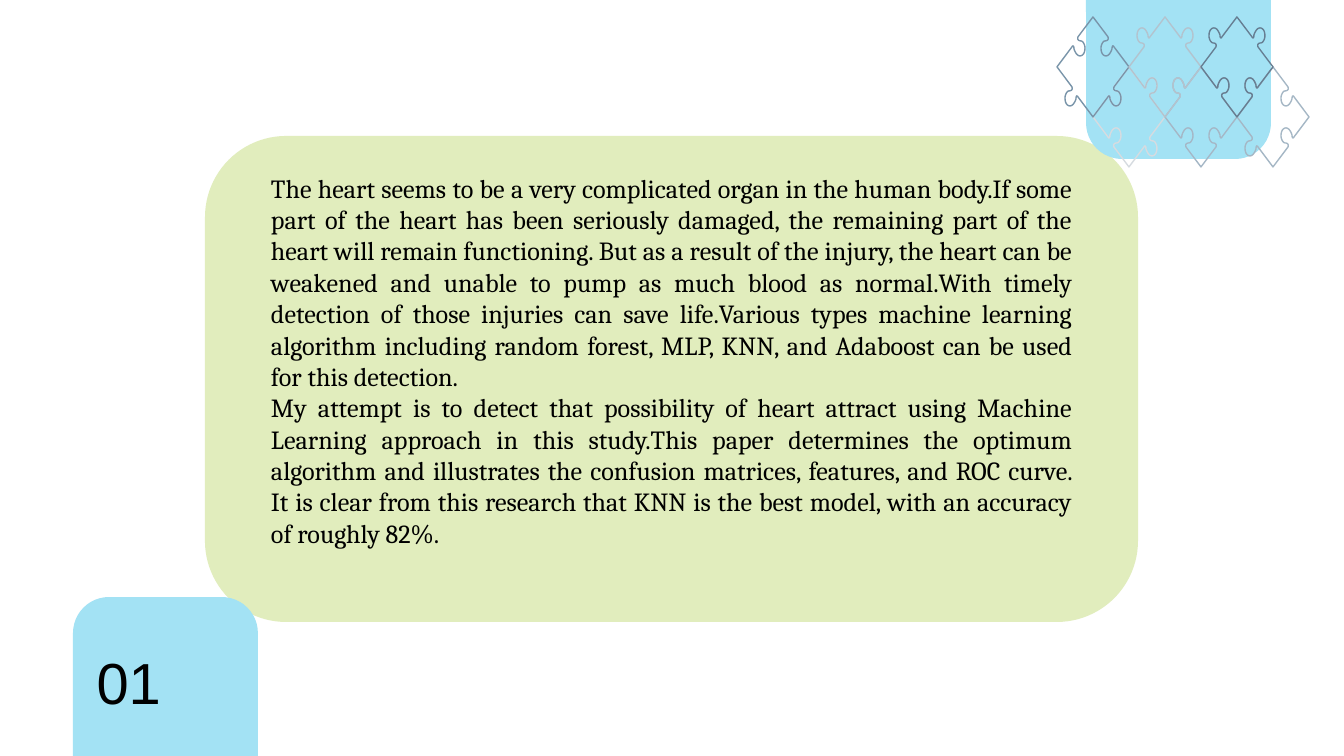
from dataclasses import dataclass

from pptx import Presentation
from pptx.dml.color import RGBColor
from pptx.enum.shapes import MSO_SHAPE as SHAPE
from pptx.enum.text import MSO_ANCHOR as ANCHOR, PP_ALIGN as ALIGN
from pptx.util import Emu, Pt

WIDTH, HEIGHT = 1344, 756
EMU_PER_PX = 9144000 / WIDTH


@dataclass(frozen=True)
class Theme:
    panel: str = "E1EDBD"
    tab: str = "A3E2F4"
    ink: str = "000000"
    body_font: str = "Cambria"
    body_size: int = 14
    number_font: str = "Arial"
    number_size: int = 31
    outline: float = 0.75
    inset: int = 13


PARAGRAPHS = [
    "The heart seems to be a very complicated organ in the human body.If some part of the "
    "heart has been seriously damaged, the remaining part of the heart will remain "
    "functioning. But as a result of the injury, the heart can be weakened and unable to pump "
    "as much blood as normal.With timely detection of those injuries can save life.Various "
    "types machine learning algorithm including random forest, MLP, KNN, and Adaboost can be "
    "used for this detection.",
    "My attempt is to detect that possibility of heart attract using Machine Learning approach "
    "in this study.This paper determines the optimum algorithm and illustrates the confusion "
    "matrices, features, and ROC curve. It is clear from this research that KNN is the best "
    "model, with an accuracy of roughly 82%.",
]

# Puzzle: half a piece's width and height, and the first piece's centre
HALF_W, HALF_H = 36, 50
PUZZLE_X, PUZZLE_Y = 1093, 67

# Cubic control points of a knob pointing down right, from the middle of its edge
KNOB = [(3, -5), (2, -2), (4, -1), (6, -1), (8, -1), (10, 3), (10, 6), (10, 11),
        (8, 14), (5, 14), (2, 14), (0, 10), (-1, 7), (-1, 4), (-2, 3), (-3, 5)]

# Edges clockwise from the top corner, as signs of x and y
EDGES = [(1, -1), (1, 1), (-1, 1), (-1, -1)]

# Row, column, colour, and knob of each edge: 1 outward, -1 inward
PIECES = [
    (1, 0, "D6DBE0", (1, 1, -1, -1)),
    (1, 1, "A5B7C6", (1, -1, -1, 1)),
    (0, 0, "7994A9", (-1, 1, 1, -1)),
    (0, 1, "B3C3CE", (1, -1, -1, 1)),
    (1, 2, "A5B7C5", (-1, -1, 1, 1)),
    (0, 2, "667E92", (1, -1, -1, 1)),
]


def px(n):
    return Emu(round(n * EMU_PER_PX))


def sample_curve(controls, steps=6):
    """Return points along a chain of cubic Bézier curves."""
    points = [controls[0]]
    for i in range(0, len(controls) - 1, 3):
        for step in range(1, steps + 1):
            t = step / steps
            weights = ((1 - t) ** 3, 3 * t * (1 - t) ** 2, 3 * t * t * (1 - t), t ** 3)
            points.append(tuple(sum(w * c[axis] for w, c in zip(weights, controls[i:i + 4]))
                                for axis in (0, 1)))
    return points


def piece_outline(cx, cy, knobs):
    curve = sample_curve(KNOB)
    corners = [(0, -HALF_H), (HALF_W, 0), (0, HALF_H), (-HALF_W, 0)]
    points = []
    for (x, y), (sx, sy), knob in zip(corners, EDGES, knobs):
        points.append((cx + x, cy + y))
        clockwise = curve if sx * sy * knob > 0 else curve[::-1]
        points += [(cx + sx * (HALF_W / 2 + knob * u), cy + sy * (HALF_H / 2 + knob * v))
                   for u, v in clockwise]
    return points


class SlideBuilder:
    def __init__(self, slide, theme):
        self.shapes = slide.shapes
        self.theme = theme

    def block(self, kind, box, color, adjustments, rotation=0):
        sp = self.shapes.add_shape(kind, *map(px, box))
        sp.shadow.inherit = False
        sp.fill.solid()
        sp.fill.fore_color.rgb = RGBColor.from_string(color)
        sp.line.fill.background()
        for i, value in enumerate(adjustments):
            sp.adjustments[i] = value
        sp.rotation = rotation
        return sp

    def tab(self, x, y, rotation=0):
        return self.block(SHAPE.ROUND_2_SAME_RECTANGLE, (x, y, 185, 159), self.theme.tab,
                          (0.227, 0), rotation)

    def set_text(self, sp, paragraphs, font, size, align, anchor):
        tf = sp.text_frame
        tf.word_wrap = True
        tf.vertical_anchor = anchor
        tf.margin_left = tf.margin_right = px(self.theme.inset)
        tf.margin_top = tf.margin_bottom = px(self.theme.inset)
        tf.text = "\n".join(paragraphs)
        for p in tf.paragraphs:
            p.alignment = align
            p.font.name = font
            p.font.size = Pt(size)
            p.font.color.rgb = RGBColor.from_string(self.theme.ink)

    def body(self, box, paragraphs):
        sp = self.shapes.add_textbox(*map(px, box))
        self.set_text(sp, paragraphs, self.theme.body_font, self.theme.body_size,
                      ALIGN.JUSTIFY, ANCHOR.TOP)

    def number(self, sp, text):
        self.set_text(sp, [text], self.theme.number_font, self.theme.number_size,
                      ALIGN.LEFT, ANCHOR.MIDDLE)

    def puzzle_piece(self, row, column, color, knobs):
        cx = PUZZLE_X + HALF_W * (2 * column + row)
        cy = PUZZLE_Y + HALF_H * row
        start, *rest = [(px(x), px(y)) for x, y in piece_outline(cx, cy, knobs)]
        builder = self.shapes.build_freeform(*start)
        builder.add_line_segments(rest, close=True)
        sp = builder.convert_to_shape()
        sp.shadow.inherit = False
        sp.fill.background()
        sp.line.color.rgb = RGBColor.from_string(color)
        sp.line.width = Pt(self.theme.outline)


def main():
    prs = Presentation()
    prs.slide_width, prs.slide_height = px(WIDTH), px(HEIGHT)
    theme = Theme()
    s = SlideBuilder(prs.slides.add_slide(prs.slide_layouts[6]), theme)

    s.block(SHAPE.ROUNDED_RECTANGLE, (205, 136, 933, 486), theme.panel, (0.167,))
    s.body((258, 159, 828, 477), PARAGRAPHS)
    s.number(s.tab(73, 597), "01")
    s.tab(1086, 0, rotation=180)
    for piece in PIECES:
        s.puzzle_piece(*piece)

    prs.save("out.pptx")


if __name__ == "__main__":
    main()
